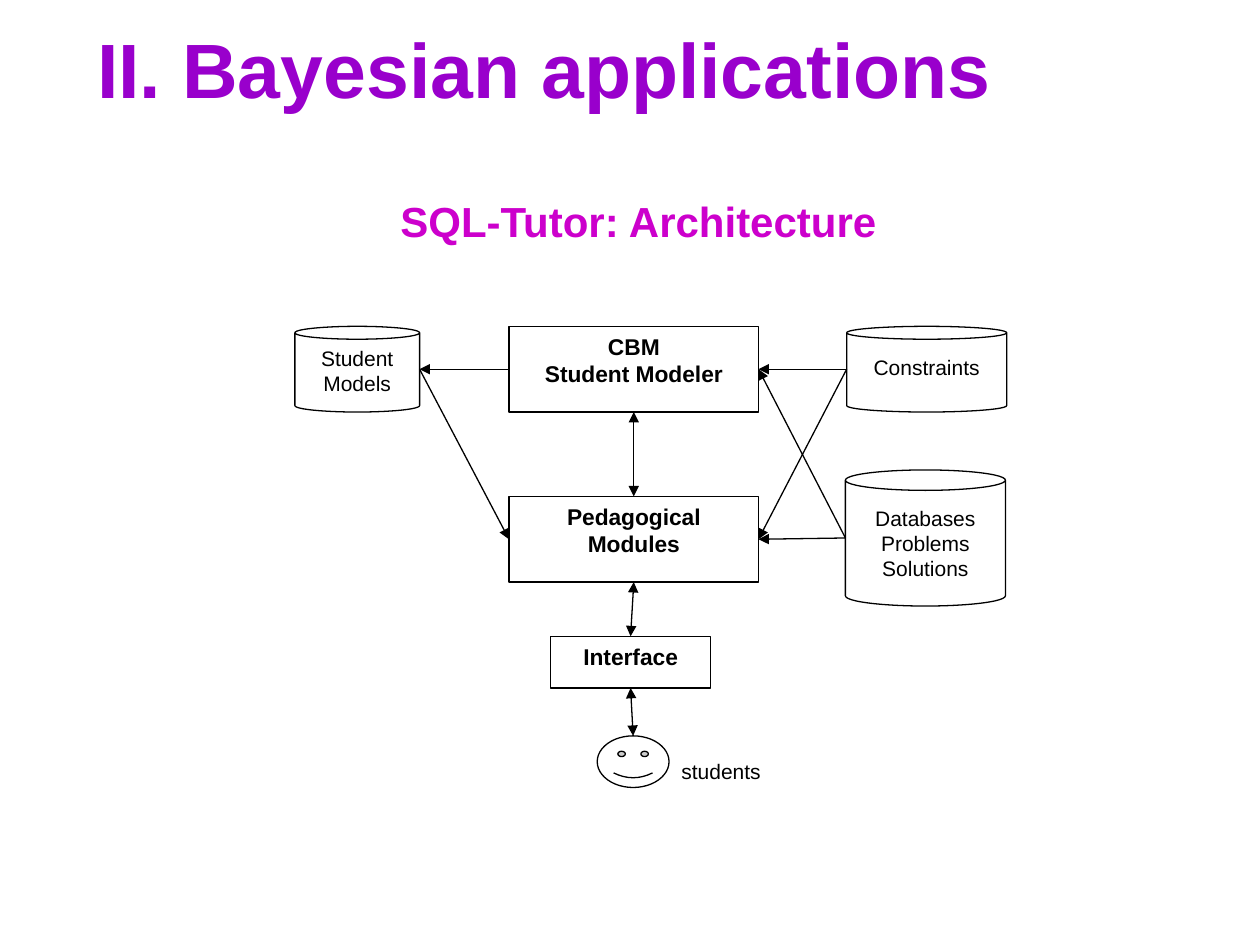
"""Build the SQL-Tutor architecture slide."""
from dataclasses import dataclass

from lxml import etree
from pptx import Presentation
from pptx.dml.color import RGBColor
from pptx.enum.shapes import MSO_CONNECTOR, MSO_SHAPE
from pptx.enum.text import MSO_ANCHOR, MSO_AUTO_SIZE, PP_ALIGN
from pptx.oxml.ns import qn
from pptx.util import Inches, Pt

COLORS = {"title": "9900CC", "subtitle": "CC00CC", "ink": "000000", "paper": "FFFFFF"}
FONT = "Arial"
LINE_WIDTH = Pt(0.75)
CAN_DEPTH = 0.15


@dataclass(frozen=True)
class Node:
    """A diagram box, store or face, measured in inches."""
    kind: MSO_SHAPE
    x: float
    y: float
    w: float
    h: float
    lines: tuple[str, ...] = ()
    top_inset: float = 0.05

    def point(self, side: str) -> tuple[float, float]:
        """Return the middle of one side."""
        return {
            "left": (self.x, self.y + self.h / 2),
            "right": (self.x + self.w, self.y + self.h / 2),
            "top": (self.x + self.w / 2, self.y),
            "bottom": (self.x + self.w / 2, self.y + self.h),
        }[side]


@dataclass(frozen=True)
class Link:
    """An arrow from a side of one node to a side of another."""
    source: str
    source_side: str
    target: str
    target_side: str
    both_ways: bool = False


BOX, CAN, FACE = MSO_SHAPE.RECTANGLE, MSO_SHAPE.CAN, MSO_SHAPE.SMILEY_FACE

NODES = {
    "modeler": Node(BOX, 4.04, 2.59, 1.98, 0.68, ("CBM", "Student Modeler")),
    "models": Node(CAN, 2.34, 2.59, 0.99, 0.68, ("Student Models",)),
    "constraints": Node(CAN, 6.72, 2.59, 1.27, 0.68, ("Constraints",), 0.12),
    "databases": Node(CAN, 6.71, 3.73, 1.27, 1.08,
                      ("Databases", "Problems", "Solutions"), 0.12),
    "pedagogical": Node(BOX, 4.04, 3.94, 1.98, 0.68, ("Pedagogical", "Modules")),
    "interface": Node(BOX, 4.37, 5.05, 1.27, 0.41, ("Interface",)),
    "face": Node(FACE, 4.74, 5.84, 0.57, 0.41),
}

LINKS = [
    Link("constraints", "left", "modeler", "right"),
    Link("modeler", "left", "models", "right"),
    Link("modeler", "bottom", "pedagogical", "top", True),
    Link("models", "right", "pedagogical", "left"),
    Link("constraints", "left", "pedagogical", "right"),
    Link("databases", "left", "modeler", "right"),
    Link("databases", "left", "pedagogical", "right"),
    Link("pedagogical", "bottom", "interface", "top", True),
    Link("interface", "bottom", "face", "top", True),
]


def color(name: str) -> RGBColor:
    """Look up a palette colour."""
    return RGBColor.from_string(COLORS[name])


def write(tf, lines, size, ink="ink", bold=False, align=PP_ALIGN.LEFT) -> None:
    """Write one paragraph per line into a text frame."""
    for i, line in enumerate(lines):
        p = tf.paragraphs[0] if i == 0 else tf.add_paragraph()
        p.alignment = align
        r = p.add_run()
        r.text = line
        r.font.name = FONT
        r.font.size = Pt(size)
        r.font.bold = bold
        r.font.color.rgb = color(ink)


def add_node(slide, node: Node) -> None:
    """Draw a node with its centred label."""
    sp = slide.shapes.add_shape(
        node.kind, *map(Inches, (node.x, node.y, node.w, node.h)))
    sp.shadow.inherit = False
    sp.fill.solid()
    sp.fill.fore_color.rgb = color("paper")
    sp.line.color.rgb = color("ink")
    sp.line.width = LINE_WIDTH
    if node.kind == CAN:
        sp.adjustments[0] = CAN_DEPTH
    tf = sp.text_frame
    tf.word_wrap = True
    tf.vertical_anchor = MSO_ANCHOR.TOP
    tf.margin_top = Inches(node.top_inset)
    is_box = node.kind == BOX
    write(tf, node.lines, 13 if is_box else 12, bold=is_box, align=PP_ALIGN.CENTER)


def add_link(slide, link: Link) -> None:
    """Draw an arrow between two nodes."""
    start = NODES[link.source].point(link.source_side)
    end = NODES[link.target].point(link.target_side)
    cx = slide.shapes.add_connector(
        MSO_CONNECTOR.STRAIGHT, *map(Inches, (*start, *end)))
    cx.line.color.rgb = color("ink")
    cx.line.width = LINE_WIDTH
    ln = cx.line._get_or_add_ln()
    for tag in ("a:headEnd", "a:tailEnd") if link.both_ways else ("a:tailEnd",):
        etree.SubElement(ln, qn(tag), type="triangle")
    etree.SubElement(cx._element.spPr, qn("a:effectLst"))


def add_label(slide, text, x, y, w, h, size, ink="ink", bold=False) -> None:
    """Add a free-standing line of text."""
    tf = slide.shapes.add_textbox(*map(Inches, (x, y, w, h))).text_frame
    tf.word_wrap = True
    write(tf, [text], size, ink, bold)


def add_title(slide, text: str) -> None:
    """Place and format the title placeholder."""
    sp = slide.shapes.title
    sp.left, sp.top, sp.width, sp.height = map(Inches, (0.67, 0.08, 8.92, 0.92))
    tf = sp.text_frame
    tf.auto_size = MSO_AUTO_SIZE.NONE
    tf.vertical_anchor = MSO_ANCHOR.MIDDLE
    write(tf, [text], 44, "title", True)


def main() -> None:
    """Create the presentation and save it."""
    prs = Presentation()
    prs.slide_width, prs.slide_height = Inches(10), Inches(7.5)
    slide = prs.slides.add_slide(prs.slide_layouts.get_by_name("Title Only"))
    add_title(slide, "II. Bayesian applications")
    for node in NODES.values():
        add_node(slide, node)
    add_label(slide, "students", 5.31, 5.97, 0.85, 0.27, 12)
    for link in LINKS:
        add_link(slide, link)
    add_label(slide, "SQL-Tutor: Architecture", 3.08, 1.5, 4.17, 0.5, 24,
              "subtitle", True)
    prs.save("out.pptx")


if __name__ == "__main__":
    main()
